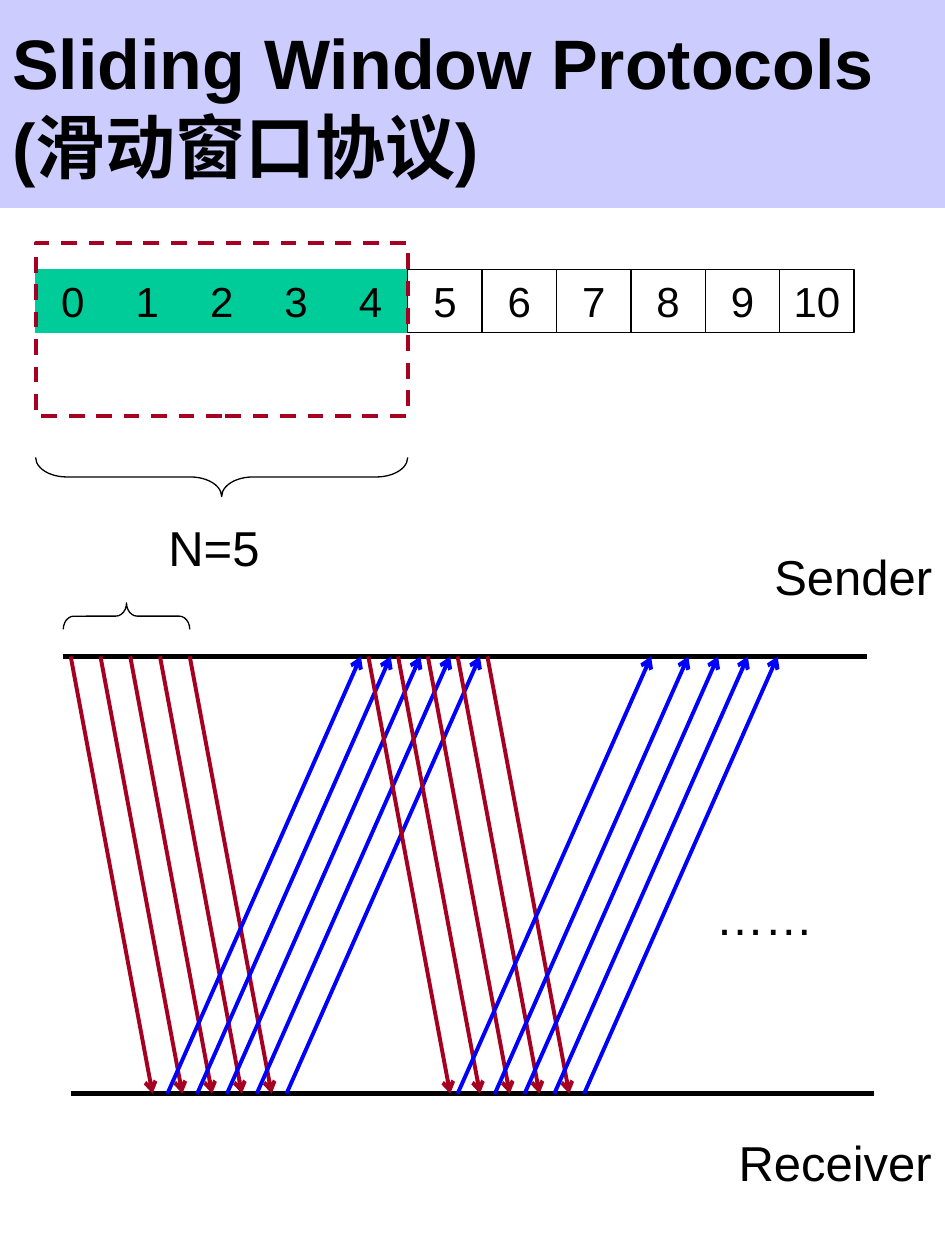
import pptx
import pptx.util
import pptx.dml.color
import pptx.enum.dml
import pptx.enum.shapes
import pptx.enum.text
import pptx.oxml
import pptx.oxml.ns

KIND = pptx.enum.shapes.MSO_SHAPE
ALIGN = pptx.enum.text.PP_ALIGN
ANCHOR = pptx.enum.text.MSO_ANCHOR
DASH = pptx.enum.dml.MSO_LINE.DASH

# Slide grid: ten columns make one cell of the sequence bar
WIDE, HIGH = 7.5, 10
COLS, ROWS = 127, 100
CELL = 10
SIZE = 5  # window size

HUE = {"ink": "000000", "paper": "FFFFFF", "band": "CCCCFF",
       "open": "00CC99", "data": "A50021", "ack": "0000FF"}
HEAD = {"size": pptx.util.Pt(40), "bold": True}
NOTE = {"size": pptx.util.Pt(28), "bold": False}
DIGIT = {"size": pptx.util.Pt(24), "bold": False}


def put(item, form):
    for name, val in form.items():
        setattr(item, name, val)


def tint(name):
    return pptx.dml.color.RGBColor.from_string(HUE[name])


def px(col):
    return pptx.util.Inches(col * WIDE / COLS)


def py(row):
    return pptx.util.Inches(row * HIGH / ROWS)


def frame(box):
    x, y, w, h = box
    return px(x), py(y), px(w), py(h)


def stroke(line, hue, width):
    line.color.rgb = tint(hue)
    line.width = pptx.util.Pt(width)


def write(shape, text, form, align=ALIGN.LEFT, anchor=ANCHOR.TOP, wrap=True):
    body = shape.text_frame
    put(body, {"word_wrap": wrap, "vertical_anchor": anchor, "text": text})
    para = body.paragraphs[0]
    para.alignment = align
    for run in para.runs:
        put(run.font, {"name": "Arial", **form})
        run.font.color.rgb = tint("ink")


def shape(slide, kind, box, fill=None, line=None, width=0.75):
    item = slide.shapes.add_shape(kind, *frame(box))
    item.shadow.inherit = False
    if fill:
        item.fill.solid()
        item.fill.fore_color.rgb = tint(fill)
    else:
        item.fill.background()
    if line:
        stroke(item.line, line, width)
    else:
        item.line.fill.background()
    return item


def label(slide, box, text, align=ALIGN.LEFT, wrap=False):
    item = slide.shapes.add_textbox(*frame(box))
    write(item, text, NOTE, align, wrap=wrap)
    if not wrap:
        # Leave the text room to stay on one line
        item.text_frame.margin_right = 0


def link(slide, start, end, hue, width, arrow=False):
    item = slide.shapes.add_connector(
        pptx.enum.shapes.MSO_CONNECTOR.STRAIGHT,
        px(start[0]), py(start[1]), px(end[0]), py(end[1]))
    stroke(item.line, hue, width)
    if arrow:
        tail = pptx.oxml.parse_xml(
            f'<a:tailEnd {pptx.oxml.ns.nsdecls("a")} type="arrow"/>')
        item.line._get_or_add_ln().append(tail)
    item._element.spPr.append(pptx.oxml.parse_xml(
        f'<a:effectLst {pptx.oxml.ns.nsdecls("a")}/>'))


def brace(slide, box, turn, curl):
    """Lay an upright brace on its side so that it fills the box."""
    x, y, w, h = box
    tall, thin = w * WIDE / COLS, h * HIGH / ROWS
    item = shape(slide, KIND.LEFT_BRACE, box, line="ink")
    item.width, item.height = pptx.util.Inches(thin), pptx.util.Inches(tall)
    item.left = px(x + w / 2) - item.width // 2
    item.top = py(y + h / 2) - item.height // 2
    item.rotation = turn
    item.adjustments[0] = curl


def title(slide, box):
    item = shape(slide, KIND.RECTANGLE, box, "band")
    write(item, "Sliding Window Protocols\v(滑动窗口协议)", HEAD,
          anchor=ANCHOR.MIDDLE)


def window(slide, box):
    x, y, w, h = box
    span = SIZE * CELL
    # Sequence numbers
    for num in range(w // CELL):
        sent = num < SIZE
        item = shape(slide, KIND.RECTANGLE, (x + num * CELL, y + 2.1, CELL, 5),
                     "open" if sent else "paper", "open" if sent else "ink")
        write(item, str(num), DIGIT, ALIGN.CENTER)
    # Window outline
    edge = shape(slide, KIND.RECTANGLE, (x, y, span, 13.7), None, "data", 2.25)
    edge.line.dash_style = DASH.DASH
    # Window size
    brace(slide, (x, y + 17, span, 3.1), 270, 0.8)
    label(slide, (x + 10.65, y + 21.3, 26.6, 5.7), "N=5", ALIGN.CENTER, True)


def timing(slide, box):
    x, y, w, h = box
    base = y + h
    # Time lines
    link(slide, (x - 1, y), (x - 1 + w, y), "ink", 3)
    link(slide, (x, base), (x + w, base), "ink", 3)
    # Rounds of frames and answers, one slot every four columns
    slots = [4 * num for num in range(SIZE)]
    late = [0] + [slot + 1 for slot in slots[1:]]
    for send, reply, gaps in ((0, 13, slots), (40, 52, late)):
        for slot in slots:
            at = x + send + slot
            link(slide, (at, y), (at + 11, base), "data", 2.25, True)
        for gap in gaps:
            at = x + reply + gap
            link(slide, (at, base), (at + 26, y), "ack", 2.25, True)
    # First burst
    brace(slide, (x - 1, y - 4.25, 17, 2.1), 90, 0.4)
    # Names of the two ends
    label(slide, (x + 92.9, y - 9.2, 24.6, 5.7), "Sender")
    label(slide, (x + 88.1, base + 2.6, 29.4, 5.7), "Receiver")
    label(slide, (x + 85, y + 17.8, 18, 5.7), "……")


def main():
    deck = pptx.Presentation()
    put(deck, {"slide_width": pptx.util.Inches(WIDE),
               "slide_height": pptx.util.Inches(HIGH)})
    slide = deck.slides.add_slide(deck.slide_layouts[6])
    timing(slide, (9.5, 52.1, 108, 34.7))
    title(slide, (0, 0, COLS, 16.5))
    window(slide, (4.8, 19.3, 11 * CELL, 27))
    deck.save("out.pptx")


if __name__ == "__main__":
    main()
